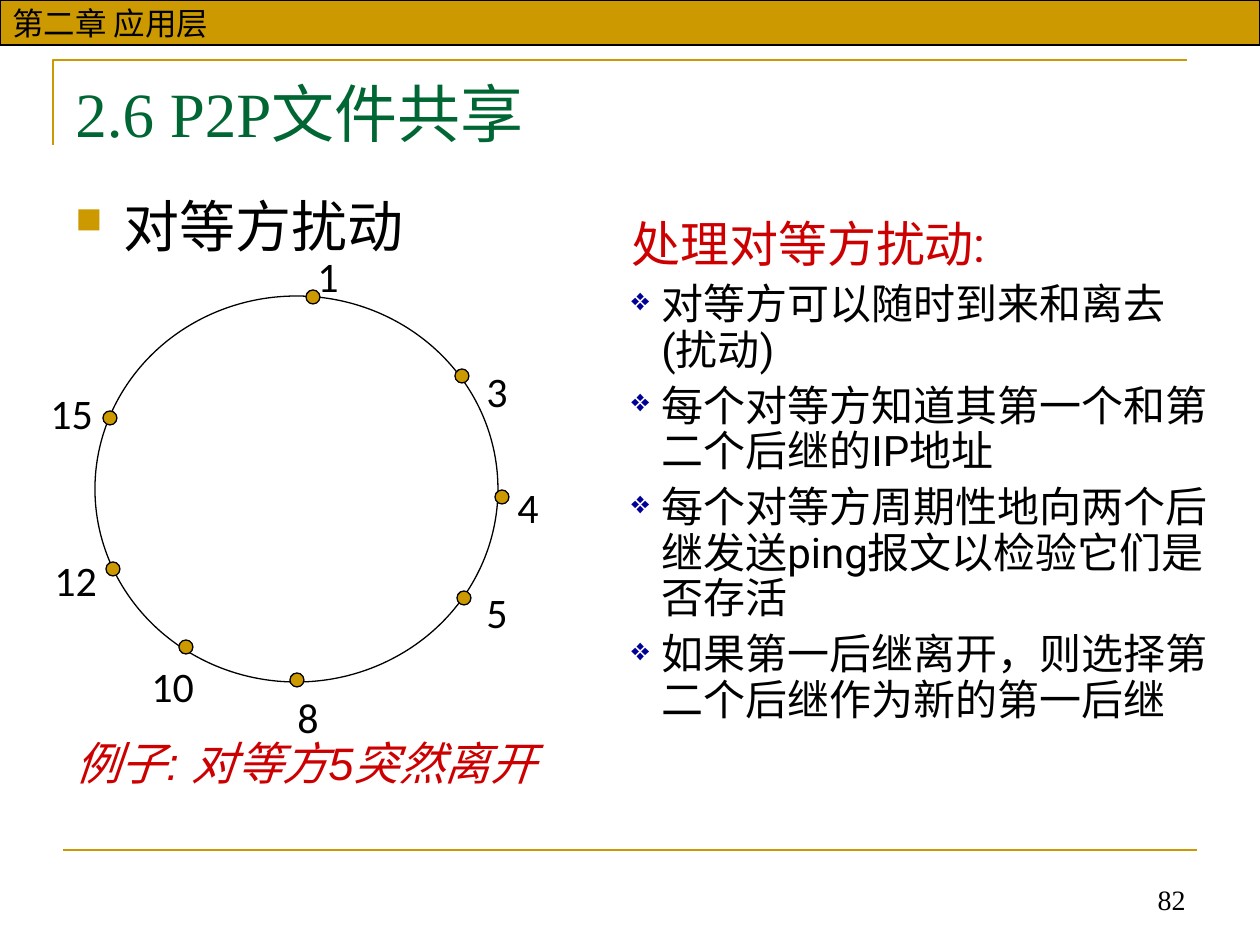
from lxml import etree
from pptx import Presentation
from pptx.dml.color import RGBColor
from pptx.enum.shapes import MSO_CONNECTOR as CONNECTOR, MSO_SHAPE as SHAPE
from pptx.enum.text import MSO_ANCHOR as ANCHOR, PP_ALIGN as ALIGN
from pptx.oxml.ns import qn
from pptx.util import Emu, Pt

EMU_PER_PX = 914400 / 126
GOLD, BLACK, GREEN, RED, NAVY = "CC9900", "000000", "006633", "CC0000", "000099"
DOT_SIZE = 14

# Peer number, dot position, label position
PEERS = [
    ("1", (306, 290), (305, 244)),
    ("3", (455, 369), (474, 359)),
    ("4", (495, 490), (505, 475)),
    ("5", (457, 591), (474, 580)),
    ("8", (290, 673), (285, 685)),
    ("10", (179, 640), (139, 654)),
    ("12", (106, 562), (42, 548)),
    ("15", (103, 411), (38, 381)),
]

CHURN_STEPS = [
    "对等方可以随时到来和离去(扰动)",
    "每个对等方知道其第一个和第二个后继的IP地址",
    "每个对等方周期性地向两个后继发送ping报文以检验它们是否存活",
    "如果第一后继离开，则选择第二个后继作为新的第一后继",
]


def px(length):
    return Emu(round(length * EMU_PER_PX))


def color(value):
    return RGBColor.from_string(value)


def style_outline(shape, line_color, width):
    shape.line.color.rgb = color(line_color)
    shape.line.width = Pt(width)


def add_shape(slide, kind, box, fill=None):
    shape = slide.shapes.add_shape(kind, *map(px, box))
    shape.shadow.inherit = False
    if fill:
        shape.fill.solid()
        shape.fill.fore_color.rgb = color(fill)
    else:
        shape.fill.background()
    style_outline(shape, BLACK, 0.75)
    return shape


def add_line(slide, start, end):
    line = slide.shapes.add_connector(CONNECTOR.STRAIGHT, *map(px, start + end))
    style_outline(line, GOLD, 1.5)
    etree.SubElement(line._element.spPr, qn("a:effectLst"))


def add_corner_rule(slide):
    builder = slide.shapes.build_freeform(px(53), px(145))
    builder.add_line_segments([(px(53), px(60)), (px(1187), px(60))], close=False)
    rule = builder.convert_to_shape()
    rule.shadow.inherit = False
    rule.fill.background()
    style_outline(rule, GOLD, 1.5)


def format_paragraph(paragraph, size, font, text_color, italic=False):
    paragraph.font.size = Pt(size)
    for run in paragraph.runs:
        run.font.size = Pt(size)
        run.font.name = font
        run.font.color.rgb = color(text_color)
        run.font.italic = italic


def add_bullet(paragraph, mark, mark_color, percent, indent):
    properties = paragraph._p.get_or_add_pPr()
    properties.set("marL", str(px(indent)))
    properties.set("indent", str(-px(indent)))
    bullet_color = etree.SubElement(properties, qn("a:buClr"))
    etree.SubElement(bullet_color, qn("a:srgbClr"), val=mark_color)
    etree.SubElement(properties, qn("a:buSzPct"), val=str(percent * 1000))
    etree.SubElement(properties, qn("a:buChar"), char=mark)


def add_text(slide, box, text, size, font, text_color=BLACK, wrap=True, italic=False):
    text_frame = slide.shapes.add_textbox(*map(px, box)).text_frame
    text_frame.word_wrap = wrap
    text_frame.text = text
    format_paragraph(text_frame.paragraphs[0], size, font, text_color, italic)
    return text_frame


def add_header(slide):
    header = add_shape(slide, SHAPE.RECTANGLE, (0, 0, 1260, 45), GOLD)
    text_frame = header.text_frame
    text_frame.word_wrap = False
    text_frame.vertical_anchor = ANCHOR.MIDDLE
    text_frame.text = "第二章 应用层"
    paragraph = text_frame.paragraphs[0]
    paragraph.alignment = ALIGN.LEFT
    format_paragraph(paragraph, 18, "Arial", BLACK)


def add_peer_ring(slide):
    add_shape(slide, SHAPE.OVAL, (95, 296, 403, 386))
    for number, dot, label in PEERS:
        add_shape(slide, SHAPE.OVAL, dot + (DOT_SIZE, DOT_SIZE), GOLD)
        width = 26 + 21 * len(number)
        add_text(slide, label + (width, 63), number, 24, "Calibri", wrap=False)


def add_churn_steps(slide):
    text_frame = add_text(slide, (619, 207, 610, 523), "处理对等方扰动:", 28, "Roboto", RED)
    for step in CHURN_STEPS:
        paragraph = text_frame.add_paragraph()
        paragraph.text = step
        paragraph.line_spacing = Pt(26)
        paragraph.space_before = Pt(6)
        add_bullet(paragraph, "❖", NAVY, 75, 30)
        format_paragraph(paragraph, 24, "Roboto", BLACK)


def main():
    presentation = Presentation()
    presentation.slide_width, presentation.slide_height = px(1260), px(945)
    slide = presentation.slides.add_slide(presentation.slide_layouts[6])

    # Frame of the page
    add_corner_rule(slide)
    add_line(slide, (63, 850), (1197, 850))
    add_header(slide)

    # Title and topic
    title = add_text(slide, (63, 68, 1134, 97), "2.6 P2P文件共享", 36, "Times New Roman", GREEN)
    title.vertical_anchor = ANCHOR.TOP
    topic = add_text(slide, (63, 185, 540, 80), "对等方扰动", 32, "Arial")
    add_bullet(topic.paragraphs[0], "■", GOLD, 65, 48)

    # Ring of peers with its example
    add_peer_ring(slide)
    example = add_text(slide, (63, 735, 1134, 83), "例子: 对等方5突然离开", 26, "Arial", RED, italic=True)
    example.paragraphs[0].line_spacing = 0.9

    # Handling of churn
    add_churn_steps(slide)

    # Page number
    page = add_text(slide, (799, 859, 399, 63), "82", 16, "Times New Roman")
    page.vertical_anchor = ANCHOR.BOTTOM
    page.paragraphs[0].alignment = ALIGN.RIGHT

    presentation.save("out.pptx")


if __name__ == "__main__":
    main()
